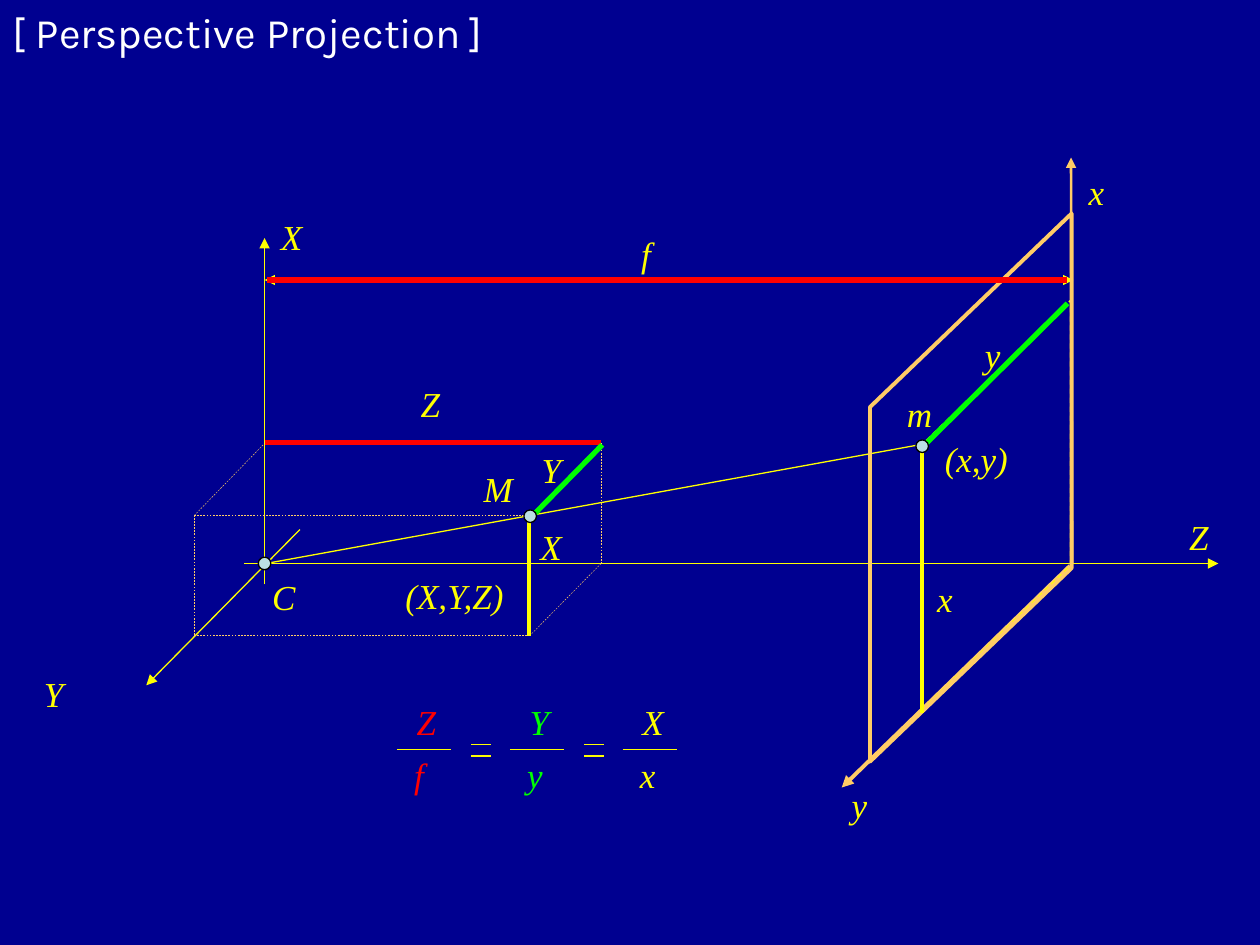
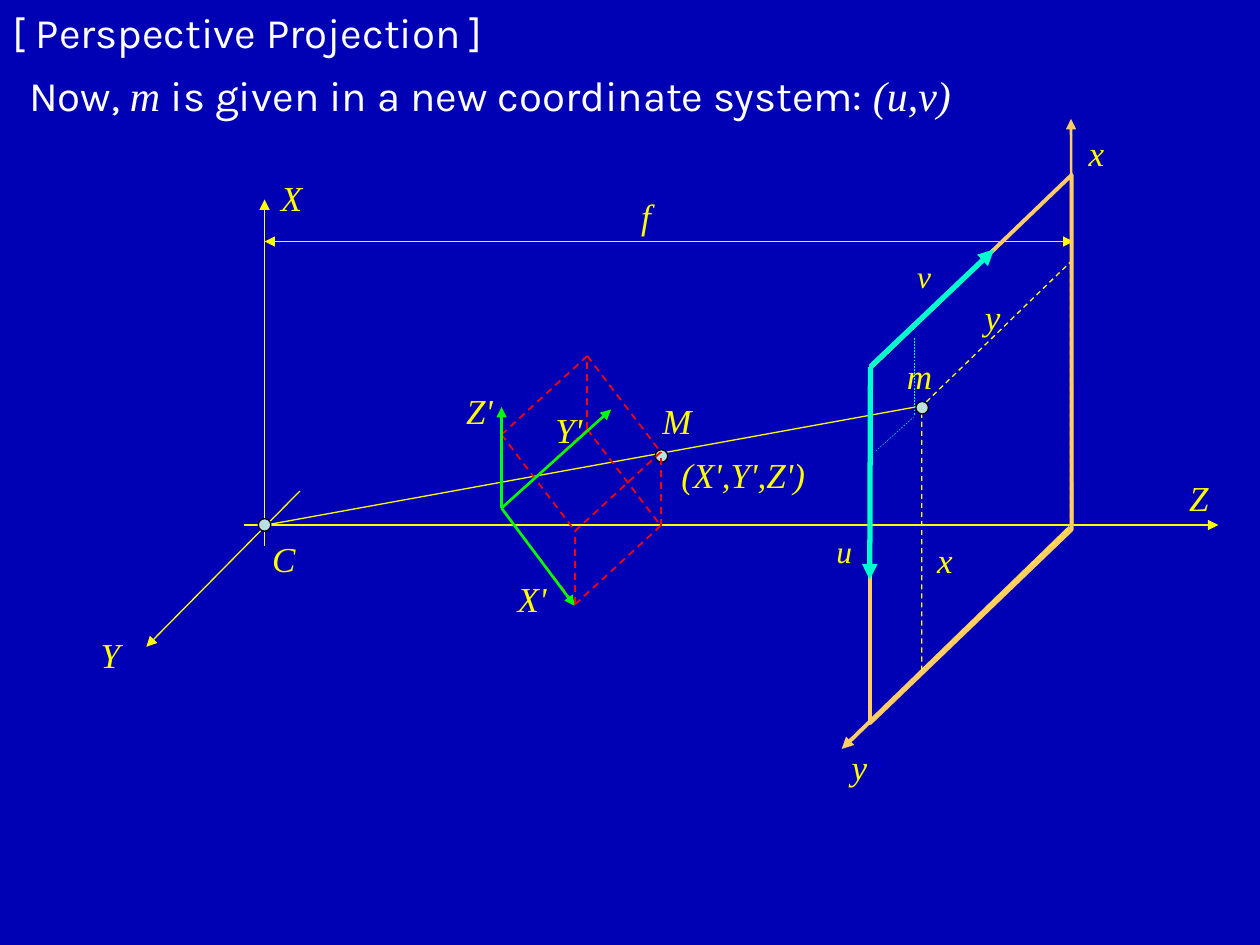
import itertools

import lxml.etree
import pptx
import pptx.dml.color
import pptx.enum.dml
import pptx.enum.shapes
import pptx.enum.text
import pptx.oxml.ns
import pptx.util

Pt = pptx.util.Pt
qn = pptx.oxml.ns.qn
SHAPE = pptx.enum.shapes.MSO_SHAPE
COLORS = {
    "navy": "000090", "blue": "0000B4", "white": "FFFFFF", "black": "000000",
    "yellow": "FFFF00", "orange": "FFCC66", "red": "FF0000", "green": "00FF00",
    "aqua": "00FFCC", "dot": "BBE0E3",
}
RGB = {k: pptx.dml.color.RGBColor.from_string(v) for k, v in COLORS.items()}
HEADING = {"name": "Karla", "size": Pt(24), "italic": False, "bold": False}
MATH = {"name": "Times New Roman", "size": Pt(20), "italic": True}
FRAME = {"word_wrap": True, "auto_size": pptx.enum.text.MSO_AUTO_SIZE.NONE,
         "vertical_anchor": pptx.enum.text.MSO_ANCHOR.TOP}
PARAGRAPH = {"alignment": pptx.enum.text.PP_ALIGN.LEFT,
             "space_before": Pt(0), "space_after": Pt(0)}
SHIFT = -22  # the scene sits higher on the second slide


def add_line(s, start, end, color, width, dash=False, arrows=()):
    c = s.shapes.add_connector(pptx.enum.shapes.MSO_CONNECTOR.STRAIGHT,
                               *(Pt(v) for v in (*start, *end)))
    c.line.color.rgb = RGB[color]
    c.line.width = Pt(width)
    if dash:
        c.line.dash_style = pptx.enum.dml.MSO_LINE.DASH
    spPr = c._element.spPr
    for tag in arrows:
        lxml.etree.SubElement(spPr.find(qn("a:ln")), qn("a:" + tag), type="triangle")
    lxml.etree.SubElement(spPr, qn("a:effectLst"))


def add_dot(s, x, y):
    sp = s.shapes.add_shape(SHAPE.OVAL, Pt(x - 3.6), Pt(y - 3.6), Pt(7.2), Pt(7.2))
    sp.shadow.inherit = False
    sp.fill.solid()
    sp.fill.fore_color.rgb = RGB["dot"]
    sp.line.color.rgb = RGB["black"]
    sp.line.width = Pt(0.75)


prs = pptx.Presentation()
prs.slide_width, prs.slide_height = Pt(720), Pt(540)
s1 = prs.slides.add_slide(prs.slide_layouts[5])
s2 = prs.slides.add_slide(prs.slide_layouts[1])

# Headings: (placeholder, box, runs)
title = [("[ Perspective Projection ]", HEADING)]
sentence = [("Now, ", HEADING), ("m ", MATH),
            ("is given in a new coordinate system: ", HEADING), ("(u,v)", MATH)]
for sp, box, runs in [
    (s1.shapes.title, (0, 0, 300, 36), title),
    (s2.shapes.title, (0, 0, 300, 36), title),
    (s2.placeholders[1], (9.4, 36, 569, 36), sentence),
]:
    sp.left, sp.top, sp.width, sp.height = (Pt(v) for v in box)
    for name, value in FRAME.items():
        setattr(sp.text_frame, name, value)
    p = sp.text_frame.paragraphs[0]
    for name, value in PARAGRAPH.items():
        setattr(p, name, value)
    pPr = p._p.get_or_add_pPr()
    pPr.set("marL", "0")
    pPr.set("indent", "0")
    lxml.etree.SubElement(pPr, qn("a:buNone"))
    for text, fmt in runs:
        r = p.add_run()
        r.text = text
        for name, value in {**fmt, "size": Pt(24)}.items():
            setattr(r.font, name, value)
        r.font.color.rgb = RGB["white"]

# Shared scene: background, axes, ray, focal length and image plane
tail, both = ("tailEnd",), ("headEnd", "tailEnd")
scene_lines = [
    ((612.6, 322), (612, 90), "orange", 1.5, tail),            # x
    ((611.4, 323.4), (481, 450), "orange", 2.25, tail),        # y
    ((152, 322), (528.5, 253.6), "yellow", 0.75, ()),          # ray C to m
    ((151.2, 160), (613.4, 160), "yellow", 0.75, both),        # f
    ((151.2, 334), (151.2, 136), "yellow", 0.75, tail),        # X
    ((139.7, 322), (696.2, 322), "yellow", 0.75, tail),        # Z
    ((171.4, 302.6), (83.6, 391.6), "yellow", 0.75, tail),     # Y
]
planes = [
    ((452.2, 246.2, 234, 85), 0.97, "yellow", 0.75, True),
    ((398.2, 221, 313.2, 115.2), 0.96, "orange", 2.25, False),
]
for s, back, dy in [(s1, "navy", 0), (s2, "blue", SHIFT)]:
    s.background.fill.solid()
    s.background.fill.fore_color.rgb = RGB[back]
    for (x1, y1), (x2, y2), color, width, arrows in scene_lines:
        add_line(s, (x1, y1 + dy), (x2, y2 + dy), color, width, arrows=arrows)
    for (x, y, w, h), slant, color, width, dash in planes:
        sp = s.shapes.add_shape(SHAPE.PARALLELOGRAM, Pt(x), Pt(y + dy), Pt(w), Pt(h))
        sp.adjustments[0] = slant
        sp.rotation = 90
        sp._element.spPr.find(qn("a:xfrm")).set("flipH", "1")
        sp.shadow.inherit = False
        sp.fill.background()
        sp.line.color.rgb = RGB[color]
        sp.line.width = Pt(width)
        if dash:
            sp.line.dash_style = pptx.enum.dml.MSO_LINE.DASH
    add_dot(s, 151.2, 322 + dy)

# Slide 1: box spanned by C and M
front_left, front_right = (111, 294.6), (303, 294.6)
back_left, back_right = (151.2, 253.4), (343.5, 253.4)
base_left, base_right, base_back = (111, 363), (303, 363), (343.5, 322)
outline = [base_left, front_left, back_left, back_right, base_back, base_right, base_left]
edges = list(itertools.pairwise(outline))
edges += [(front_right, corner) for corner in (front_left, back_right, base_right)]
for start, end in edges:
    add_line(s1, start, end, "orange", 0.25, dash=True)

# Slide 1: pairs of similar lengths
for start, end, color, width in [
    ((151.2, 252.8), (343.5, 252.8), "red", 3),
    ((152.6, 160), (610, 160), "red", 3),
    ((344.2, 254.2), (304.6, 294.5), "green", 3),
    ((610, 173.4), (527, 255.6), "green", 3),
    ((302.4, 363.4), (302.4, 294.5), "yellow", 2.25),
    ((527, 407.5), (527, 255.6), "yellow", 2.25),
]:
    add_line(s1, start, end, color, width)
add_dot(s1, 303, 295)
add_dot(s1, 527, 255)

# Slide 1: equal ratios
labels = []
ratios = [("Z", "f", "red"), ("Y", "y", "green"), ("X", "x", "yellow")]
for i, (top, bottom, color) in enumerate(ratios):
    dx = 64.5 * i
    labels += [(s1, top, 231 + dx, 396.7, 27, color, 20),
               (s1, bottom, 229.6 + dx, 427, 28, color, 20)]
    add_line(s1, (226.8 + dx, 428.4), (258 + dx, 428.4), "yellow", 0.75)
    if i:
        for y in (425.4, 432):
            add_line(s1, (204.8 + dx, y), (216.2 + dx, y), "yellow", 0.75)

# Slide 2: world frame and its dashed box
add_dot(s2, 378, 260.6)
origin = (286.6, 290.4)
axes = [(42, 55), (49, -45), (0, -42)]
for i, (ax, ay) in enumerate(axes):
    (bx, by), (cx, cy) = axes[:i] + axes[i + 1:]
    for b, c in itertools.product((0, 1), repeat=2):
        x, y = origin[0] + b * bx + c * cx, origin[1] + b * by + c * cy
        add_line(s2, (x, y), (x + ax, y + ay), "red", 1, dash=True)
for tip in [(349.2, 234), (328.4, 346.2), (286.6, 232.6)]:
    add_line(s2, origin, tip, "green", 1.5, arrows=tail)

# Slide 2: image frame (u,v)
for start, end in [((500.4, 257.8), (522, 238.4)), ((522.7, 193), (522.7, 237.6))]:
    add_line(s2, start, end, "aqua", 0.25, dash=True)
add_dot(s2, 527, 255 + SHIFT)
for end in [(568, 142.6), (497, 331.2)]:
    add_line(s2, (497.4, 209.6), end, "aqua", 3, arrows=tail)

# Labels
for s, dy in [(s1, 0), (s2, SHIFT)]:
    for text, x, y in [
        ("y", 479.6, 444.2), ("x", 615, 93.8), ("X", 153.4, 119.4),
        ("Z", 672.5, 291), ("f", 359.3, 129.6), ("C", 148.4, 325.4),
        ("y", 555.8, 187.2), ("x", 528.5, 326.2), ("m", 511.2, 221),
    ]:
        labels.append((s, text, x, y + dy, 31, "yellow", 20))
labels += [(s, text, x, y, w, "yellow", size) for s, text, x, y, w, size in [
    (s1, "Y", 18, 381, 31, 20),
    (s1, "Z", 233.3, 215.3, 31, 20),
    (s1, "Y", 302.4, 252.7, 31, 20),
    (s1, "X", 301.7, 296.6, 31, 20),
    (s1, "M", 269.3, 263.5, 33, 20),
    (s1, "(x,y)", 532.8, 246.2, 67, 20),
    (s1, "(X,Y,Z)", 224.6, 324.7, 76, 20),
    (s2, "Y", 50.4, 358.6, 31, 20),
    (s2, "M", 371.5, 224.6, 33, 20),
    (s2, "(X',Y',Z')", 382.3, 255.6, 92, 20),
    (s2, "X'", 288.7, 326.2, 35, 20),
    (s2, "Y'", 310.3, 229.7, 31, 20),
    (s2, "Z'", 259.2, 218.9, 34, 20),
    (s2, "u", 470.9, 300.2, 25, 18),
    (s2, "v", 517, 143.3, 24, 18),
]]
for s, text, x, y, w, color, size in labels:
    sp = s.shapes.add_textbox(Pt(x), Pt(y), Pt(w), Pt(1.2 * size + 7))
    sp.text_frame.word_wrap = True
    r = sp.text_frame.paragraphs[0].add_run()
    r.text = text
    for name, value in {**MATH, "size": Pt(size)}.items():
        setattr(r.font, name, value)
    r.font.color.rgb = RGB[color]

prs.save("out.pptx")
